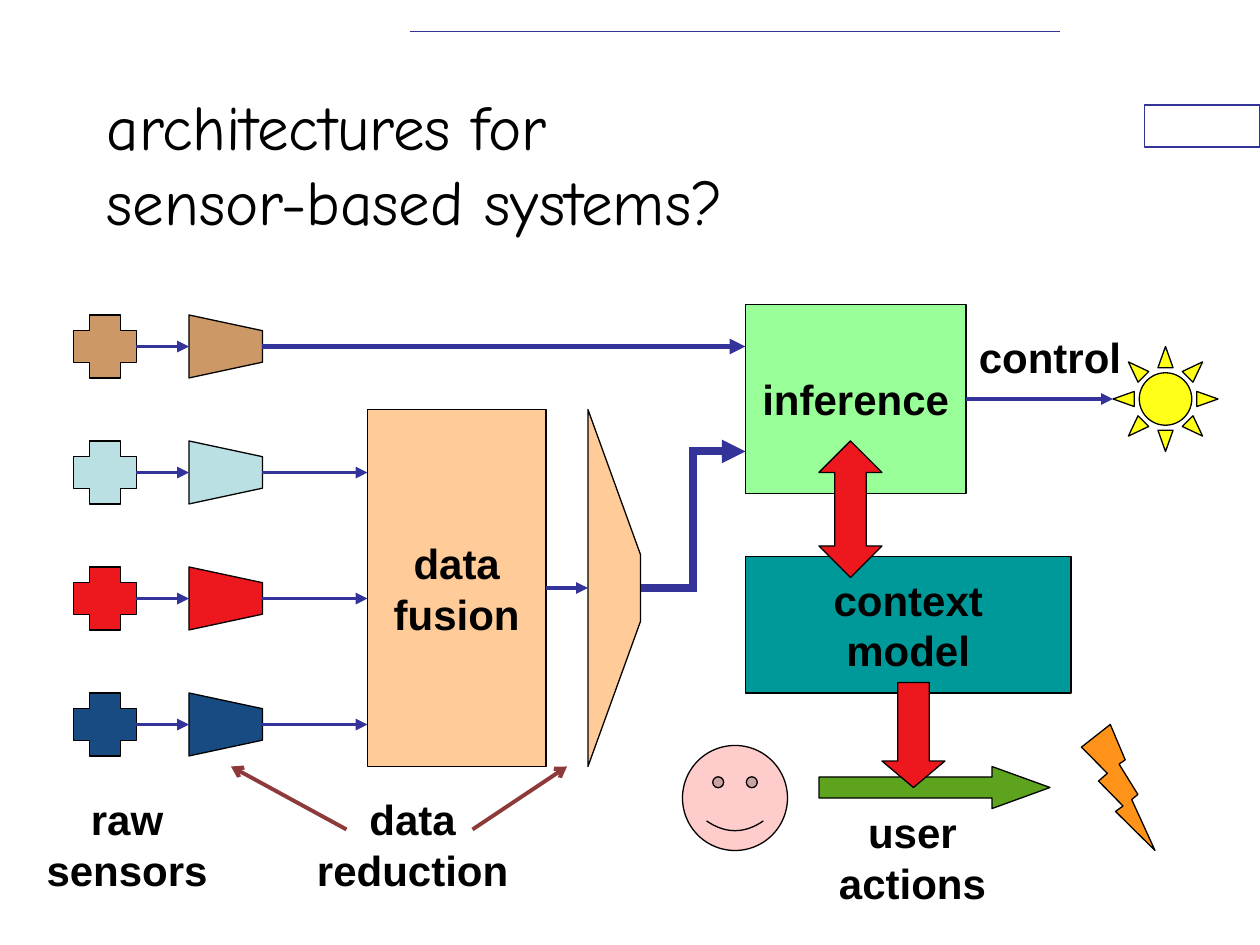
import pptx
import pptx.util
import pptx.dml.color
import pptx.enum.shapes
import pptx.enum.text
import pptx.oxml
import pptx.oxml.ns

KIND = pptx.enum.shapes.MSO_SHAPE
JOIN = pptx.enum.shapes.MSO_CONNECTOR
ALIGN = pptx.enum.text.PP_ALIGN
ANCHOR = pptx.enum.text.MSO_ANCHOR

THEME = {
    "black": "000000", "white": "FFFFFF", "navy": "333399", "maroon": "8F3A3A",
    "tan": "CC9966", "ice": "BBE0E3", "red": "ED181E", "blue": "184B81",
    "peach": "FFCC99", "teal": "009999", "mint": "99FF99", "orange": "FF9218",
    "yellow": "FFFF17", "pink": "FFCCCC", "green": "5DA31E",
    "title": ("Comic Neue", 36, False), "label": ("Arial", 24, True),
    "edge": 0.75, "rule": 1, "thin": 2.25, "mid": 3, "thick": 4.5,
}

# The slide is a grid of 120 columns and 90 rows; all places are in cells.
COLS, ROWS = 120, 90
CELL = pptx.util.Inches(10) / COLS

TITLE = ["architectures for", "sensor-based systems?"]
SENSORS = ["tan", "ice", "red", "blue"]
FIRST, PITCH, SIZE = 30, 12, 6      # sensor rows: top, step, height
PLUS, TRAP, NECK = 7, 18, 25        # sensor columns: plus, funnel, funnel end

BOXES = {
    "fusion": (35, 39, 17, 34, "peach", ["data", "fusion"]),
    "context": (71, 53, 31, 13, "teal", ["context", "model"]),
    "infer": (71, 29, 21, 18, "mint", ["inference"]),
}
# Labels: middle column, top, width, height, lines
LABELS = [
    (12.1, 75, 20, 11, ["raw", "sensors"]),
    (39.3, 75, 23, 11, ["data", "reduction"]),
    (86.9, 76.25, 20, 11, ["user", "actions"]),
    (100, 31, 18, 6, ["control"]),
]
SIGNS = [
    (KIND.LIGHTNING_BOLT, 103, 69, 7, 12, "orange", []),
    (KIND.UP_DOWN_ARROW, 78, 42, 6, 13, "red", [0.43, 0.5]),
    (KIND.SMILEY_FACE, 65, 71, 10, 10, "pink", [0.09]),
    (KIND.RIGHT_ARROW, 78, 73, 22, 4, "green", [0.5, 1.38]),
    (KIND.DOWN_ARROW, 84, 65, 6, 10, "red", [0.5, 0.42]),
]
POINTERS = [((33, 79), (22, 73)), ((45, 79), (54, 73))]

deck = pptx.Presentation()
deck.slide_width, deck.slide_height = round(COLS * CELL), round(ROWS * CELL)
slide = deck.slides.add_slide(deck.slide_layouts[6])
shapes = slide.shapes


def cells(*nums):
    return [pptx.util.Emu(round(n * CELL)) for n in nums]


def tint(name):
    return pptx.dml.color.RGBColor.from_string(THEME[name])


def paint(shape, fill, edge="black"):
    shape.shadow.inherit = False
    shape.fill.solid()
    shape.fill.fore_color.rgb = tint(fill)
    shape.line.color.rgb = tint(edge)
    shape.line.width = pptx.util.Pt(THEME["edge"])
    return shape


def write(shape, lines, style="label", align=ALIGN.CENTER, anchor=ANCHOR.MIDDLE):
    frame = shape.text_frame
    frame.word_wrap = style == "title"
    frame.vertical_anchor = anchor
    frame.text = "\n".join(lines)
    for para in frame.paragraphs:
        para.alignment = align
        font = para.font
        font.name, size, font.bold = THEME[style]
        font.size = pptx.util.Pt(size)
        font.color.rgb = tint("black")


def draw(kind, x, y, w, h, fill, adjust=(), edge="black"):
    shape = shapes.add_shape(kind, *cells(x, y, w, h))
    for spot, value in enumerate(adjust):
        shape.adjustments[spot] = value
    return paint(shape, fill, edge)


def funnel(x, y, w, h, inset, fill):
    pts = [(x, y), (x + w, y + inset), (x + w, y + h - inset), (x, y + h)]
    pts = [cells(*p) for p in pts]
    build = shapes.build_freeform(*pts[0])
    build.add_line_segments(pts[1:], close=True)
    paint(build.convert_to_shape(), fill)


def add_xml(parent, tag, attrs=""):
    space = pptx.oxml.ns.nsdecls("a")
    parent.append(pptx.oxml.parse_xml(f"<a:{tag} {space} {attrs}/>"))


def link(start, end, color="navy", width="thin", head="triangle",
         kind=JOIN.STRAIGHT, source=None, target=None):
    line = shapes.add_connector(kind, *cells(*start, *end))
    line.line.color.rgb = tint(color)
    line.line.width = pptx.util.Pt(THEME[width])
    props = line._element.spPr
    stroke = props.find(pptx.oxml.ns.qn("a:ln"))
    add_xml(stroke, "miter", 'lim="800000"')
    if head:
        add_xml(stroke, "tailEnd", f'type="{head}"')
    add_xml(props, "effectLst")
    if source is not None:
        line.begin_connect(source, 3)
    if target is not None:
        line.end_connect(target, 1)


# Page trim and title
draw(KIND.RECTANGLE, 109, 10, 11, 4, "white", edge="navy")
link((39, 3), (101, 3), width="rule", head=None)
write(shapes.add_textbox(*cells(9, 8, 90, 15)), TITLE, "title", ALIGN.LEFT)

# Boxes and the funnel after data fusion
box = {}
for name, (x, y, w, h, fill, lines) in BOXES.items():
    box[name] = draw(KIND.RECTANGLE, x, y, w, h, fill)
    write(box[name], lines)
funnel(56, 39, 5, 34, 13.8, "peach")

# Sensor rows: the first goes to inference, the others to fusion
for row, color in enumerate(SENSORS):
    top = FIRST + row * PITCH
    mid = top + SIZE / 2
    plus = draw(KIND.CROSS, PLUS, top, SIZE, SIZE, color, [0.25])
    funnel(TRAP, top, NECK - TRAP, SIZE, SIZE / 4, color)
    link((PLUS + SIZE, mid), (TRAP, mid), source=plus)
    goal, width = ("fusion", "thin") if row else ("infer", "mid")
    link((NECK, mid), (BOXES[goal][0], mid), width=width)

# Flow through fusion, inference and control
sun = draw(KIND.SUN, 106, 33, 10, 10, "yellow", [0.25])
link((52, 56), (56, 56), source=box["fusion"])
link((61, 56), (71, 43), width="thick", kind=JOIN.ELBOW)
link((92, 38), (106, 38), source=box["infer"], target=sun)
for start, end in POINTERS:
    link(start, end, color="maroon", head="arrow")

# Signs and labels
for sign in SIGNS:
    draw(*sign)
for mid, top, w, h, lines in LABELS:
    label = shapes.add_textbox(*cells(mid - w / 2, top, w, h))
    write(label, lines, anchor=ANCHOR.TOP)

deck.save("out.pptx")
